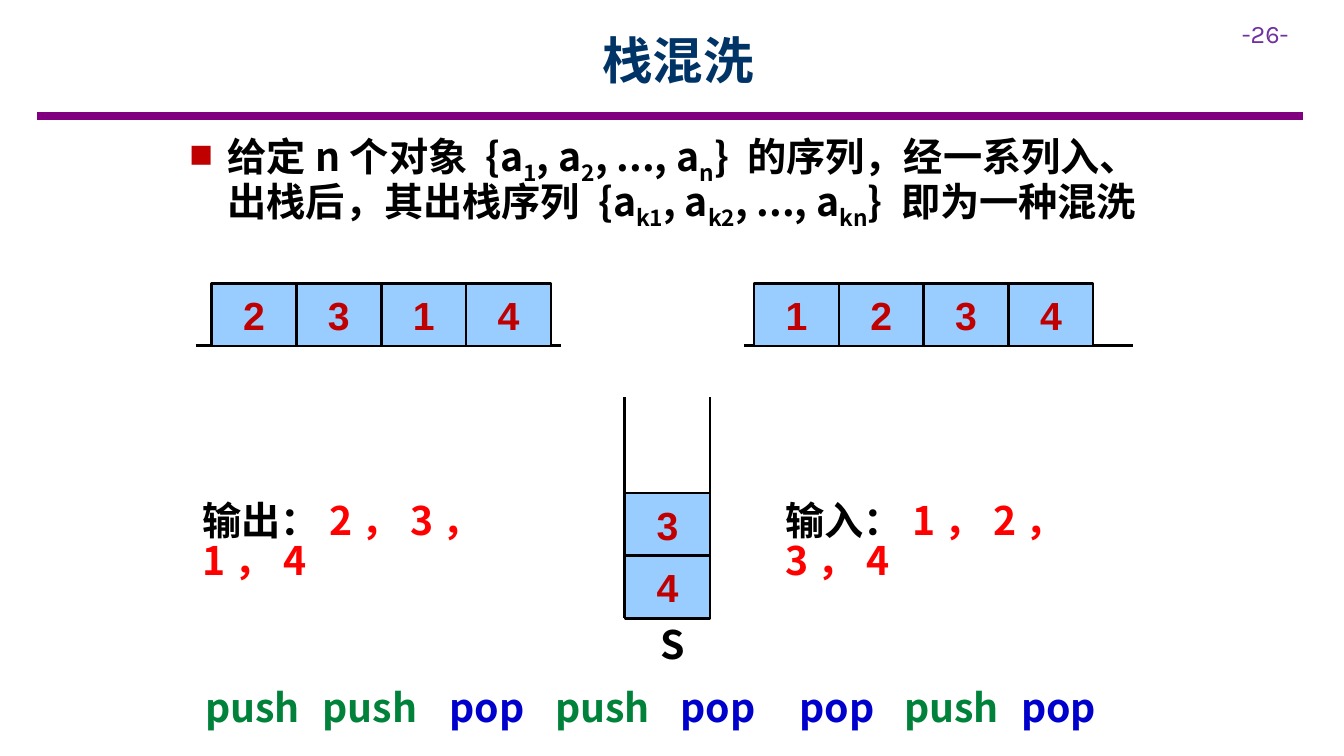
from lxml.etree import SubElement
from pptx import Presentation
from pptx.dml.color import RGBColor
from pptx.enum.shapes import MSO_CONNECTOR as Connector, MSO_SHAPE as Shape
from pptx.enum.text import MSO_ANCHOR as Anchor, PP_ALIGN as Align
from pptx.oxml import parse_xml
from pptx.oxml.ns import nsdecls, qn
from pptx.util import Inches, Pt

BLACK, RED, CRIMSON = "000000", "FF0000", "C00000"
NAVY, PURPLE, VIOLET = "003366", "800080", "7030A0"
SKY, GREEN, BLUE = "99CCFF", "00823B", "0000CC"


def color(value):
    return RGBColor.from_string(value)


class Board:
    font = "Noto Sans CJK SC"
    size = 28
    cell_width, cell_height = 6.31, 8.31

    def __init__(self, deck):
        self.deck = deck
        self.page = deck.slides.add_slide(deck.slide_layouts[6])

    def x(self, percent):
        return round(self.deck.slide_width * percent / 100)

    def y(self, percent):
        return round(self.deck.slide_height * percent / 100)

    def place(self, left, top, width, height):
        return self.x(left), self.y(top), self.x(width), self.y(height)

    def style(self, para, font, size, ink, bold=True):
        para.font.name = font
        para.font.size = Pt(size)
        para.font.bold = bold
        para.font.color.rgb = color(ink)
        defaults = para._p.pPr.find(qn("a:defRPr"))
        SubElement(defaults, qn("a:ea")).set("typeface", font)

    def text(self, area, spans, ink=BLACK, font=font, size=size, bold=True, spacing=0.85):
        box = self.page.shapes.add_textbox(*self.place(*area))
        box.text_frame.word_wrap = True
        para = box.text_frame.paragraphs[0]
        para.line_spacing = spacing
        self.style(para, font, size, ink, bold)
        for words, span_ink in spans:
            span = para.add_run()
            span.text = words
            if span_ink:
                span.font.color.rgb = color(span_ink)
        return box

    def title(self, area, words):
        box = self.text(area, [(words, None)], NAVY, size=36, spacing=1)
        box.text_frame.vertical_anchor = Anchor.MIDDLE
        box.text_frame.paragraphs[0].alignment = Align.CENTER

    def bullet(self, area, pieces):
        box = self.text(area, [(words, None) for words in pieces])
        para = box.text_frame.paragraphs[0]
        for span in para.runs[1::2]:
            span._r.get_or_add_rPr().set("baseline", "-25000")
        properties = para._p.pPr
        properties.set("marL", str(Inches(0.38)))
        properties.set("indent", str(-Inches(0.38)))
        defaults = properties.find(qn("a:defRPr"))
        for tag in (
            f'<a:buClr {nsdecls("a")}><a:srgbClr val="{CRIMSON}"/></a:buClr>',
            f'<a:buFont {nsdecls("a")} typeface="Arial"/>',
            f'<a:buChar {nsdecls("a")} char="■"/>',
        ):
            defaults.addprevious(parse_xml(tag))

    def line(self, start, end, ink=BLACK, width=1.75):
        (left, top), (right, bottom) = start, end
        connector = self.page.shapes.add_connector(
            Connector.STRAIGHT, self.x(left), self.y(top), self.x(right), self.y(bottom))
        connector.line.color.rgb = color(ink)
        connector.line.width = Pt(width)
        SubElement(connector._element.spPr, qn("a:effectLst"))

    def cell(self, left, top, number):
        area = self.place(left, top, self.cell_width, self.cell_height)
        box = self.page.shapes.add_shape(Shape.RECTANGLE, *area)
        box.shadow.inherit = False
        box.fill.solid()
        box.fill.fore_color.rgb = color(SKY)
        box.line.color.rgb = color(BLACK)
        box.line.width = Pt(1.75)
        box.text_frame.vertical_anchor = Anchor.MIDDLE
        para = box.text_frame.paragraphs[0]
        para.text = number
        para.alignment = Align.CENTER
        self.style(para, "Arial", self.size, CRIMSON)

    def queue(self, left, top, numbers):
        for index, number in enumerate(numbers):
            self.cell(left + index * self.cell_width, top, number)

    def stack(self, left, top, numbers):
        for index, number in enumerate(numbers):
            self.cell(left, top + index * self.cell_height, number)


def main():
    deck = Presentation()
    deck.slide_width, deck.slide_height = Inches(13.33), Inches(7.5)
    board = Board(deck)

    board.line((2.78, 15.33), (96.92, 15.33), PURPLE, 6)
    board.text((91.67, 1.73, 8.33, 5.33), [("-26-", None)], VIOLET, "Karla", 18, False, 1)
    board.title((19.28, 1.2, 62.34, 13.33), "栈混洗")
    board.bullet((13.35, 17.2, 72.02, 13.87), [
        "给定n个对象 {a", "1", ", a", "2", ", ..., a", "n",
        "} 的序列，经一系列入、出栈后，其出栈序列 {a",
        "k1", ", a", "k2", ", ..., a", "kn", "} 即为一种混洗"])

    wall_left, wall_right, rim, floor = 46.47, 52.81, 52.53, 81.73
    for wall in (wall_left, wall_right):
        board.line((wall, rim), (wall, floor))
    board.line((wall_left, floor), (wall_right, floor))
    board.text((48.39, 82.4, 4.13, 7.6), [("S", None)])

    shelf = 45.73
    board.line((55.36, shelf), (84.32, shelf))
    board.line((14.55, shelf), (41.71, shelf))
    board.queue(15.75, 37.47, "2314")
    board.queue(56.11, 37.47, "1234")
    board.stack(46.51, 65.2, "34")

    for left, label, numbers in ((14.33, "输出：", "2，3，1，4"),
                                 (57.69, "输入：", "1，2，3，4")):
        board.text((left, 66, 27.68, 7.6), [(label, None), (numbers, RED)])

    inks = {"push": GREEN, "pop": BLUE}
    steps = ((14.55, "push"), (23.26, "push"), (32.71, "pop"), (40.59, "push"),
             (49.89, "pop"), (58.74, "pop"), (66.54, "push"), (75.24, "pop"))
    for left, step in steps:
        board.text((left, 90.67, 9, 7.6), [(step, None)], inks[step])

    deck.save("out.pptx")


if __name__ == "__main__":
    main()
